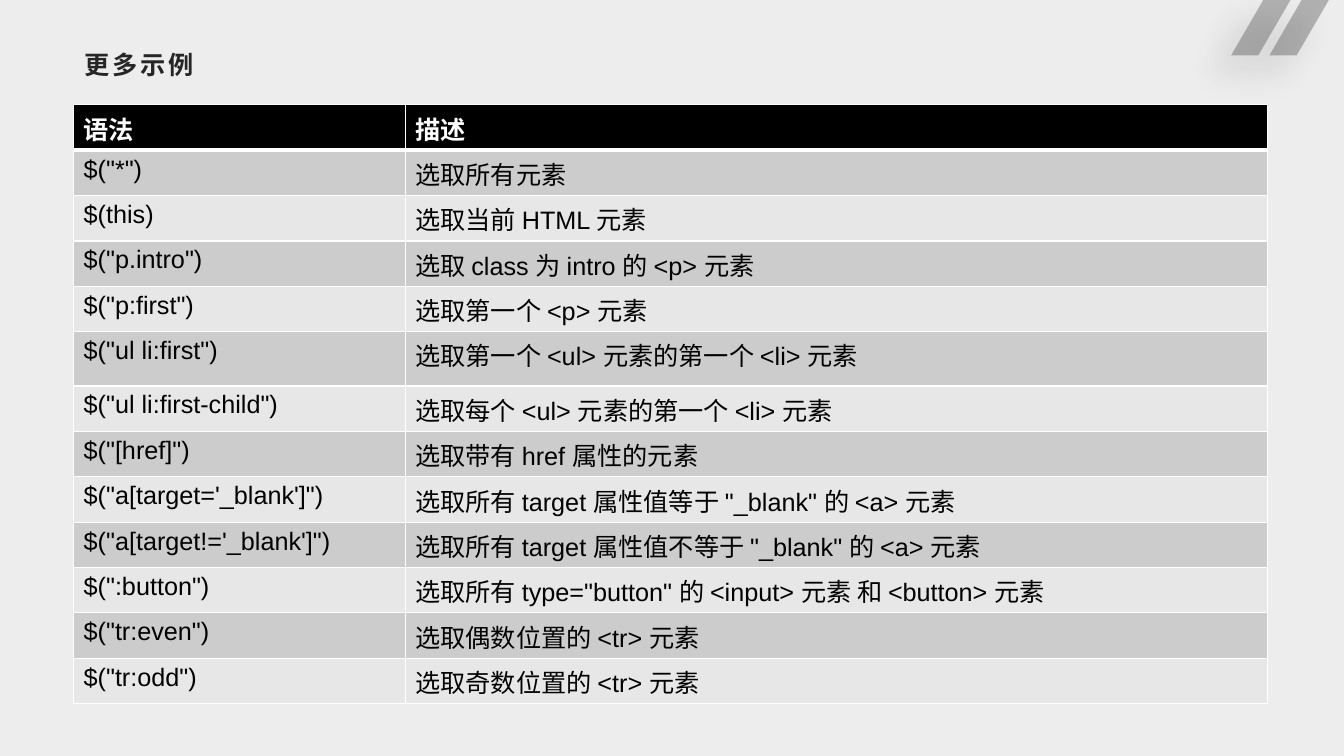
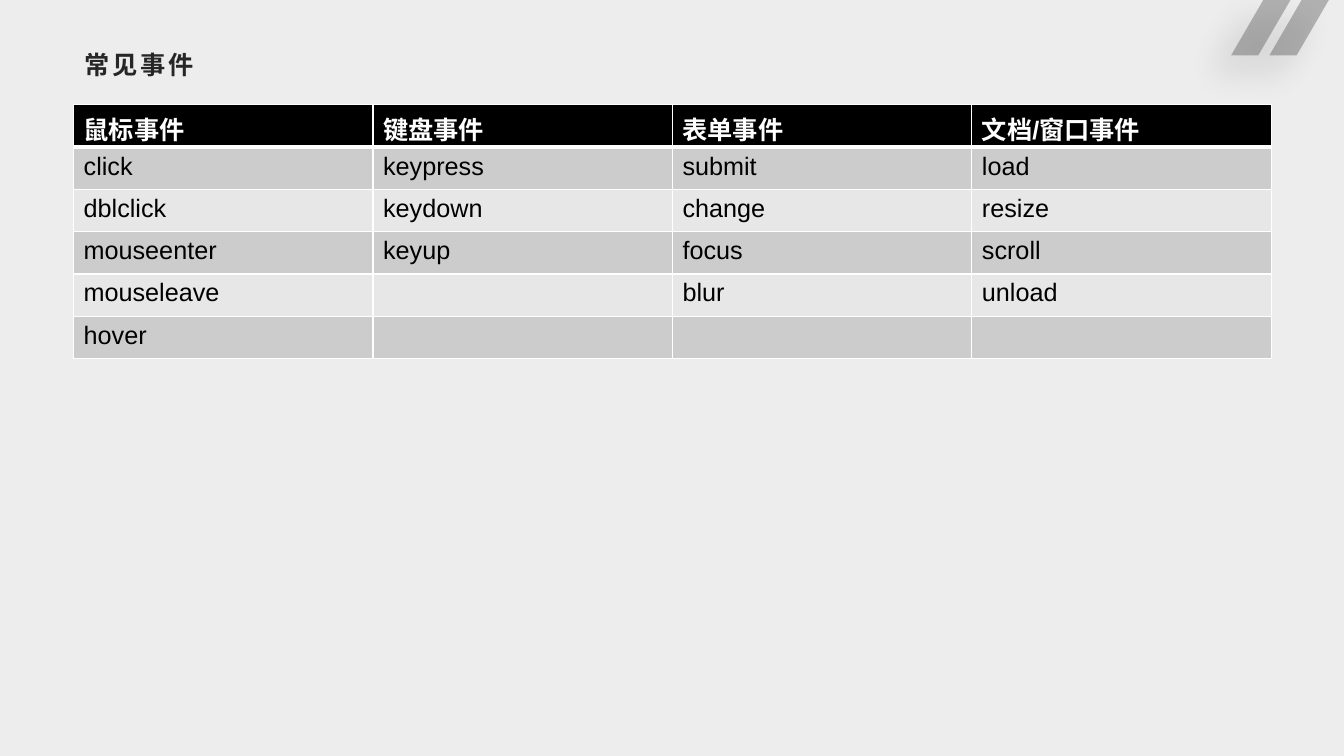
from lxml.etree import SubElement
from pptx import Presentation
from pptx.dml.color import RGBColor
from pptx.enum.text import MSO_ANCHOR
from pptx.oxml import parse_xml
from pptx.oxml.ns import nsdecls, qn
from pptx.util import Inches, Pt

BACKGROUND = RGBColor(0xED, 0xED, 0xED)
INK = RGBColor(0x26, 0x26, 0x26)
BLACK = RGBColor(0x00, 0x00, 0x00)
WHITE = RGBColor(0xFF, 0xFF, 0xFF)
BAND_DARK = RGBColor(0xCC, 0xCC, 0xCC)
BAND_LIGHT = RGBColor(0xE7, 0xE7, 0xE7)

CJK_FONT = "Noto Sans CJK SC"
TITLE_FONT = {"name": CJK_FONT, "size": Pt(18), "bold": True}
HEADER_FONT = {"name": "Arial", "size": Pt(18), "bold": True}
BODY_FONT = {"name": "Arial", "size": Pt(18), "bold": False}
TITLE_FRAME = {
    "word_wrap": True,
    "vertical_anchor": MSO_ANCHOR.TOP,
    "margin_left": Inches(0.11),
    "margin_top": Inches(0.04),
    "margin_right": Inches(0.08),
    "margin_bottom": Inches(0.04),
}

CONTENT_LEFT = 0.73
TABLE_TOP = 1.04
STRIPE_TOPS = (12.91, 12.53)
STRIPE_WIDTH = 0.27
STRIPE_LEAN = 0.32
STRIPE_HEIGHT = 0.55

SELECTORS = [
    ("语法", "描述"),
    ('$("*")', "选取所有元素"),
    ("$(this)", "选取当前 HTML 元素"),
    ('$("p.intro")', "选取 class 为 intro 的 <p> 元素"),
    ('$("p:first")', "选取第一个 <p> 元素"),
    ('$("ul li:first")', "选取第一个 <ul> 元素的第一个 <li> 元素"),
    ('$("ul li:first-child")', "选取每个 <ul> 元素的第一个 <li> 元素"),
    ('$("[href]")', "选取带有 href 属性的元素"),
    ("$(\"a[target='_blank']\")", '选取所有 target 属性值等于 "_blank" 的 <a> 元素'),
    ("$(\"a[target!='_blank']\")", '选取所有 target 属性值不等于 "_blank" 的 <a> 元素'),
    ('$(":button")', '选取所有 type="button" 的 <input> 元素 和 <button> 元素'),
    ('$("tr:even")', "选取偶数位置的 <tr> 元素"),
    ('$("tr:odd")', "选取奇数位置的 <tr> 元素"),
]
SELECTOR_HEIGHTS = [0.54 if row == 5 else 0.45 for row in range(len(SELECTORS))]

EVENTS = [
    ("鼠标事件", "键盘事件", "表单事件", "文档/窗口事件"),
    ("click", "keypress", "submit", "load"),
    ("dblclick", "keydown", "change", "resize"),
    ("mouseenter", "keyup", "focus", "scroll"),
    ("mouseleave", "", "blur", "unload"),
    ("hover", "", "", ""),
]


def apply_format(target, values):
    for attribute, value in values.items():
        setattr(target, attribute, value)


def write_run(paragraph, text, font_format, color):
    run = paragraph.add_run()
    run.text = text
    apply_format(run.font, font_format)
    run.font.color.rgb = color
    properties = run.font._element
    SubElement(properties, qn("a:ea"), typeface=CJK_FONT)
    return properties


def add_stripes(slide):
    outline = None
    for left in STRIPE_TOPS:
        top_left = (Inches(left), 0)
        if outline is None:
            outline = slide.shapes.build_freeform(*top_left)
        else:
            outline.move_to(*top_left)
        right = left + STRIPE_WIDTH
        outline.add_line_segments([
            (Inches(right), 0),
            (Inches(right - STRIPE_LEAN), Inches(STRIPE_HEIGHT)),
            (Inches(left - STRIPE_LEAN), Inches(STRIPE_HEIGHT)),
        ])
    stripes = outline.convert_to_shape()
    stripes.line.fill.background()
    stripes.fill.solid()
    stripes.fill.fore_color.rgb = INK
    properties = stripes._element.spPr
    fill_color = properties.find(qn("a:solidFill")).find(qn("a:srgbClr"))
    SubElement(fill_color, qn("a:alpha"), val="30000")
    properties.append(parse_xml(
        f'<a:effectLst {nsdecls("a")}>'
        f'<a:outerShdw blurRad="{Pt(26)}" dist="{Pt(19)}" dir="8100000" '
        'algn="tr" rotWithShape="0">'
        f'<a:srgbClr val="{BLACK}"><a:alpha val="40000"/></a:srgbClr>'
        "</a:outerShdw></a:effectLst>"
    ))


def add_title(slide, text):
    title = slide.shapes.add_textbox(
        Inches(CONTENT_LEFT), Inches(0.48), Inches(11.87), Inches(0.48)
    )
    apply_format(title.text_frame, TITLE_FRAME)
    paragraph = title.text_frame.paragraphs[0]
    paragraph.line_spacing = 0.9
    write_run(paragraph, text, TITLE_FONT, INK).set("spc", "200")


def set_borders(cell, row):
    weights = {
        "lnL": 1,
        "lnR": 1,
        "lnT": 3 if row == 1 else 1,
        "lnB": 3 if row == 0 else 1,
    }
    properties = cell._tc.get_or_add_tcPr()
    for side, weight in weights.items():
        properties.append(parse_xml(
            f'<a:{side} {nsdecls("a")} w="{Pt(weight)}"><a:solidFill>'
            f'<a:srgbClr val="{WHITE}"/></a:solidFill></a:{side}>'
        ))


def fill_cell(cell, row, text):
    if row == 0:
        background, font_format, color = BLACK, HEADER_FONT, WHITE
    else:
        background = BAND_DARK if row % 2 else BAND_LIGHT
        font_format, color = BODY_FONT, BLACK
    set_borders(cell, row)
    cell.fill.solid()
    cell.fill.fore_color.rgb = background
    paragraph = cell.text_frame.paragraphs[0]
    if text:
        write_run(paragraph, text, font_format, color)
    else:
        apply_format(paragraph.font, font_format)


def add_grid(slide, rows, widths, heights):
    grid = slide.shapes.add_table(
        len(rows), len(widths),
        Inches(CONTENT_LEFT), Inches(TABLE_TOP),
        Inches(sum(widths)), Inches(sum(heights)),
    ).table
    for column, width in zip(grid.columns, widths):
        column.width = Inches(width)
    for row, (texts, height) in enumerate(zip(rows, heights)):
        grid.rows[row].height = Inches(height)
        for column, text in enumerate(texts):
            fill_cell(grid.cell(row, column), row, text)


def add_table_slide(deck, title, rows, widths, heights):
    slide = deck.slides.add_slide(deck.slide_layouts[6])
    add_stripes(slide)
    add_title(slide, title)
    add_grid(slide, rows, widths, heights)


def main():
    deck = Presentation()
    apply_format(deck, {"slide_width": Inches(13.33), "slide_height": Inches(7.5)})
    backdrop = deck.slide_master.background.fill
    backdrop.solid()
    backdrop.fore_color.rgb = BACKGROUND
    add_table_slide(deck, "更多示例", SELECTORS, [3.29, 8.55], SELECTOR_HEIGHTS)
    add_table_slide(deck, "常见事件", EVENTS, [2.97] * 4, [0.42] * len(EVENTS))
    deck.save("out.pptx")


if __name__ == "__main__":
    main()
